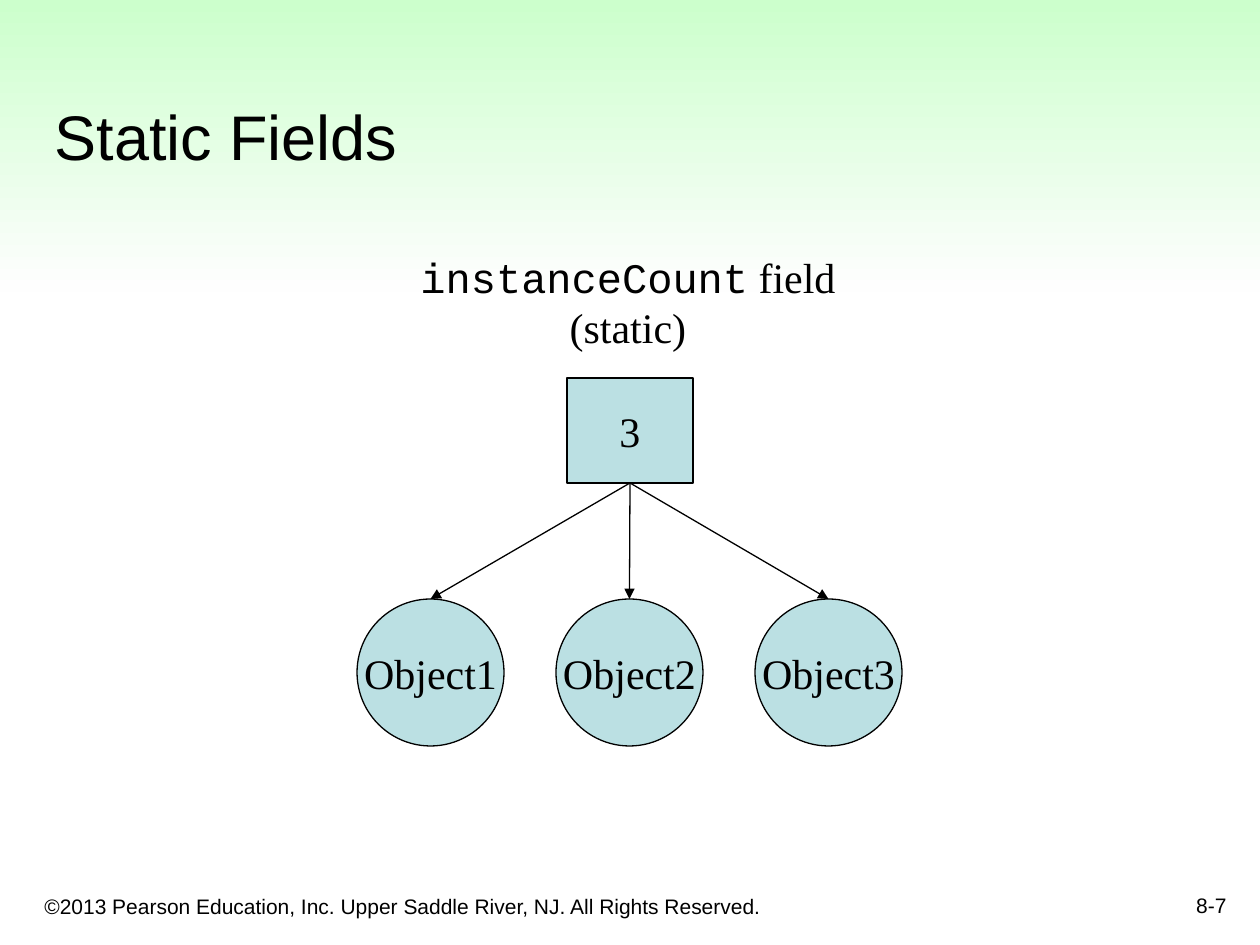
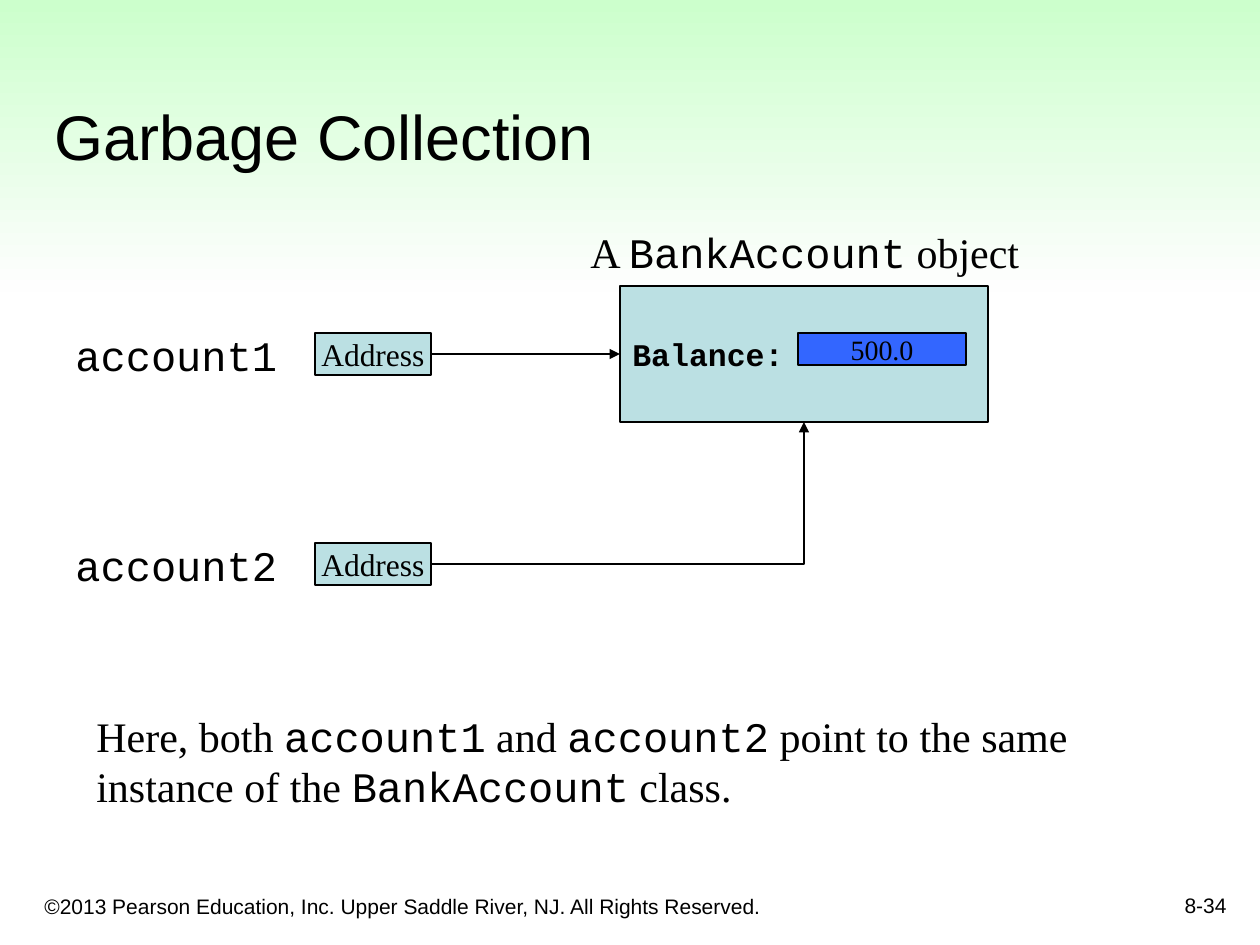
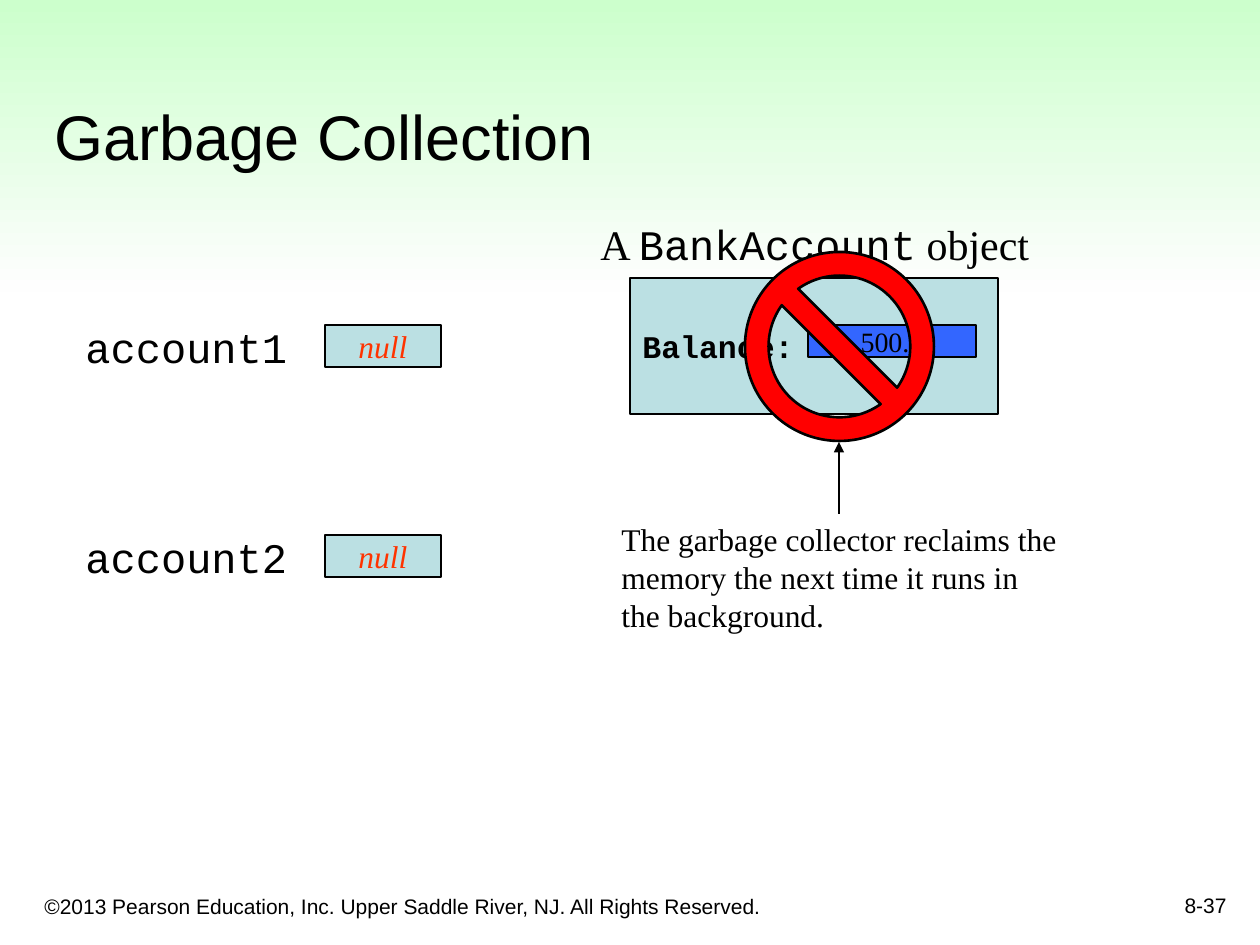
from dataclasses import dataclass, replace
from typing import NamedTuple

from lxml.etree import SubElement
from pptx import Presentation
from pptx.dml.color import RGBColor
from pptx.enum.shapes import MSO_CONNECTOR, MSO_SHAPE
from pptx.enum.text import MSO_ANCHOR, MSO_AUTO_SIZE, PP_ALIGN
from pptx.oxml.ns import qn
from pptx.util import Pt

EMU_PER_PIXEL = 914400 / 126
SITE_TOP, SITE_LEFT, SITE_BOTTOM, SITE_RIGHT = range(4)


@dataclass(frozen=True)
class TextStyle:
    size: int
    font: str = "Times New Roman"
    color: str = "000000"
    bold: bool = False
    italic: bool = False


@dataclass(frozen=True)
class Theme:
    band_top: str = "CCFFCC"
    band_bottom: str = "FEFEFE"
    box_fill: str = "BBE0E3"
    value_fill: str = "3366FF"
    sign_fill: str = "FF0000"
    line: str = "000000"
    code_font: str = "Courier New"
    title: TextStyle = TextStyle(36, "Arial")
    footer: TextStyle = TextStyle(12, "Arial")
    label: TextStyle = TextStyle(24)
    small: TextStyle = TextStyle(18)
    value: TextStyle = TextStyle(16)
    field: TextStyle = TextStyle(18, "Courier New", bold=True)
    null: TextStyle = TextStyle(18, color="FF3300", italic=True)


THEME = Theme()


class Box(NamedTuple):
    left: int
    top: int
    width: int
    height: int

    def inside(self, left, top, width, height):
        return Box(self.left + left, self.top + top, width, height)

    @property
    def center_x(self):
        return self.left + self.width // 2

    @property
    def bottom(self):
        return self.top + self.height


TITLE_BOX = Box(42, 42, 1187, 137)
BAND_BOX = Box(0, 0, 1260, 292)
COPYRIGHT_BOX = Box(32, 872, 766, 53)
NUMBER_BOX = Box(977, 861, 262, 63)


def px(*lengths):
    return [round(length * EMU_PER_PIXEL) for length in lengths]


def color(value):
    return RGBColor.from_string(value)


def format_run(run, style):
    font = run.font
    font.name = style.font
    font.size = Pt(style.size)
    font.color.rgb = color(style.color)
    font.bold = style.bold
    font.italic = style.italic


def write(text_frame, text, style, align=PP_ALIGN.LEFT,
          anchor=MSO_ANCHOR.TOP, wrap=True):
    """Write one paragraph per line; parts between backticks use the code font."""
    text_frame.word_wrap = wrap
    text_frame.auto_size = MSO_AUTO_SIZE.NONE
    text_frame.vertical_anchor = anchor
    code_style = replace(style, font=THEME.code_font)
    for index, line in enumerate(text.split("\n")):
        paragraph = text_frame.add_paragraph() if index else text_frame.paragraphs[0]
        paragraph.alignment = align
        for part_index, part in enumerate(line.split("`")):
            if part:
                run = paragraph.add_run()
                run.text = part
                format_run(run, code_style if part_index % 2 else style)


def add_text(slide, box, text, style, **layout):
    shape = slide.shapes.add_textbox(*px(*box))
    write(shape.text_frame, text, style, **layout)
    return shape


def add_figure(slide, kind, box, fill, line_width=0.75):
    shape = slide.shapes.add_shape(kind, *px(*box))
    shape.shadow.inherit = False
    shape.fill.solid()
    shape.fill.fore_color.rgb = color(fill)
    shape.line.color.rgb = color(THEME.line)
    shape.line.width = Pt(line_width)
    return shape


def add_labelled(slide, kind, box, text, style, fill=THEME.box_fill):
    shape = add_figure(slide, kind, box, fill)
    write(shape.text_frame, text, style, PP_ALIGN.CENTER, MSO_ANCHOR.MIDDLE, wrap=False)
    return shape


def add_arrow(slide, start, end, kind=MSO_CONNECTOR.STRAIGHT):
    arrow = slide.shapes.add_connector(kind, *px(*start, *end))
    arrow.line.color.rgb = color(THEME.line)
    arrow.line.width = Pt(0.75)
    SubElement(arrow.line._get_or_add_ln(), qn("a:tailEnd"), type="triangle")
    SubElement(arrow.element.spPr, qn("a:effectLst"))
    return arrow


def join(slide, start, start_site, end, end_site, kind=MSO_CONNECTOR.STRAIGHT):
    """Glue an arrow to connection sites of two shapes."""
    arrow = add_arrow(slide, (0, 0), (0, 0), kind)
    arrow.begin_connect(start, start_site)
    arrow.end_connect(end, end_site)
    return arrow


def furnish_layout(layout, slide):
    """Build the band and the copyright line, then move them to the layout."""
    for placeholder in list(layout.placeholders)[1:]:
        placeholder.element.getparent().remove(placeholder.element)
    band = slide.shapes.add_shape(MSO_SHAPE.RECTANGLE, *px(*BAND_BOX))
    band.shadow.inherit = False
    band.line.fill.background()
    band.fill.gradient()
    band.fill.gradient_angle = 270
    for stop, value in zip(band.fill.gradient_stops, (THEME.band_top, THEME.band_bottom)):
        stop.color.rgb = color(value)
    copyright_line = add_text(
        slide, COPYRIGHT_BOX,
        "©2013 Pearson Education, Inc. Upper Saddle River, NJ. All Rights Reserved.",
        THEME.footer, anchor=MSO_ANCHOR.BOTTOM)
    for index, shape in enumerate((band, copyright_line)):
        layout.shapes.element.insert(2 + index, shape.element)


def start_slide(presentation, layout, title, number):
    slide = presentation.slides.add_slide(layout)
    heading = slide.shapes.title
    heading.left, heading.top, heading.width, heading.height = px(*TITLE_BOX)
    write(heading.text_frame, title, THEME.title, anchor=MSO_ANCHOR.BOTTOM)
    add_text(slide, NUMBER_BOX, number, THEME.footer,
             align=PP_ALIGN.RIGHT, anchor=MSO_ANCHOR.BOTTOM)
    return slide


def draw_static_field(slide, box):
    add_text(slide, box.inside(51, 0, 440, 113), "`instanceCount` field\n(static)",
             THEME.label, align=PP_ALIGN.CENTER, wrap=False)
    count = add_labelled(slide, MSO_SHAPE.RECTANGLE, box.inside(210, 133, 126, 105),
                         "3", THEME.label)
    diameter = 147
    step = (box.width - diameter) // 2
    for index in range(3):
        circle_box = box.inside(index * step, box.height - diameter, diameter, diameter)
        circle = add_labelled(slide, MSO_SHAPE.OVAL, circle_box,
                              f"Object{index + 1}", THEME.label)
        join(slide, count, SITE_BOTTOM, circle, SITE_TOP)


def draw_account_object(slide, box):
    add_text(slide, box.inside(-42, -66, 456, 63), "A `BankAccount` object",
             THEME.label, wrap=False)
    account = add_figure(slide, MSO_SHAPE.RECTANGLE, box, THEME.box_fill)
    write(account.text_frame, "Balance:", THEME.field, anchor=MSO_ANCHOR.MIDDLE)
    add_labelled(slide, MSO_SHAPE.RECTANGLE, box.inside(178, 47, 168, 32), "500.0",
                 THEME.value, THEME.value_fill)
    return account


def draw_variables(slide, box, content, style):
    """Draw the two account variables and return their value boxes."""
    value_boxes = []
    for index in range(2):
        row_top = index * 210
        add_text(slide, box.inside(0, row_top, 231, 63), f"`account{index + 1}`",
                 THEME.label)
        value_boxes.append(add_labelled(
            slide, MSO_SHAPE.RECTANGLE, box.inside(252, row_top + 10, 116, 42),
            content, style))
    return value_boxes


def draw_shared_account(slide, box):
    account = draw_account_object(slide, box.inside(557, 66, 368, 136))
    first, second = draw_variables(slide, box.inside(0, 103, 368, 273),
                                   "Address", THEME.small)
    join(slide, first, SITE_RIGHT, account, SITE_LEFT)
    elbow = join(slide, second, SITE_RIGHT, account, SITE_BOTTOM, MSO_CONNECTOR.ELBOW)
    elbow.element.spPr.find(qn("a:prstGeom")).set("prst", "bentConnector2")
    add_text(slide, box.inside(21, 484, 997, 113),
             "Here, both `account1` and `account2` point to the same\n"
             "instance of the `BankAccount` class.", THEME.label, wrap=False)


def draw_reclaimed_account(slide, box):
    draw_account_object(slide, box.inside(557, 65, 368, 136))
    draw_variables(slide, box.inside(0, 102, 368, 273), "null", THEME.null)
    sign_box = box.inside(672, 39, 189, 189)
    sign = add_figure(slide, MSO_SHAPE.NO_SYMBOL, sign_box, THEME.sign_fill, 1.5)
    sign.adjustments[0] = 0.125
    note_box = box.inside(536, 301, 462, 126)
    add_text(slide, note_box,
             "The garbage collector reclaims the memory the next time it runs "
             "in the background.", THEME.small)
    add_arrow(slide, (sign_box.center_x, note_box.top),
              (sign_box.center_x, sign_box.bottom + 1))


def main():
    presentation = Presentation()
    presentation.slide_width, presentation.slide_height = px(1260, 945)
    layout = presentation.slide_layouts.get_by_name("Title Only")

    slide = start_slide(presentation, layout, "Static Fields", "8-7")
    furnish_layout(layout, slide)
    draw_static_field(slide, Box(357, 245, 546, 501))

    slide = start_slide(presentation, layout, "Garbage Collection", "8-34")
    draw_shared_account(slide, Box(63, 220, 997, 597))

    slide = start_slide(presentation, layout, "Garbage Collection", "8-37")
    draw_reclaimed_account(slide, Box(73, 213, 998, 427))

    presentation.save("out.pptx")


if __name__ == "__main__":
    main()
